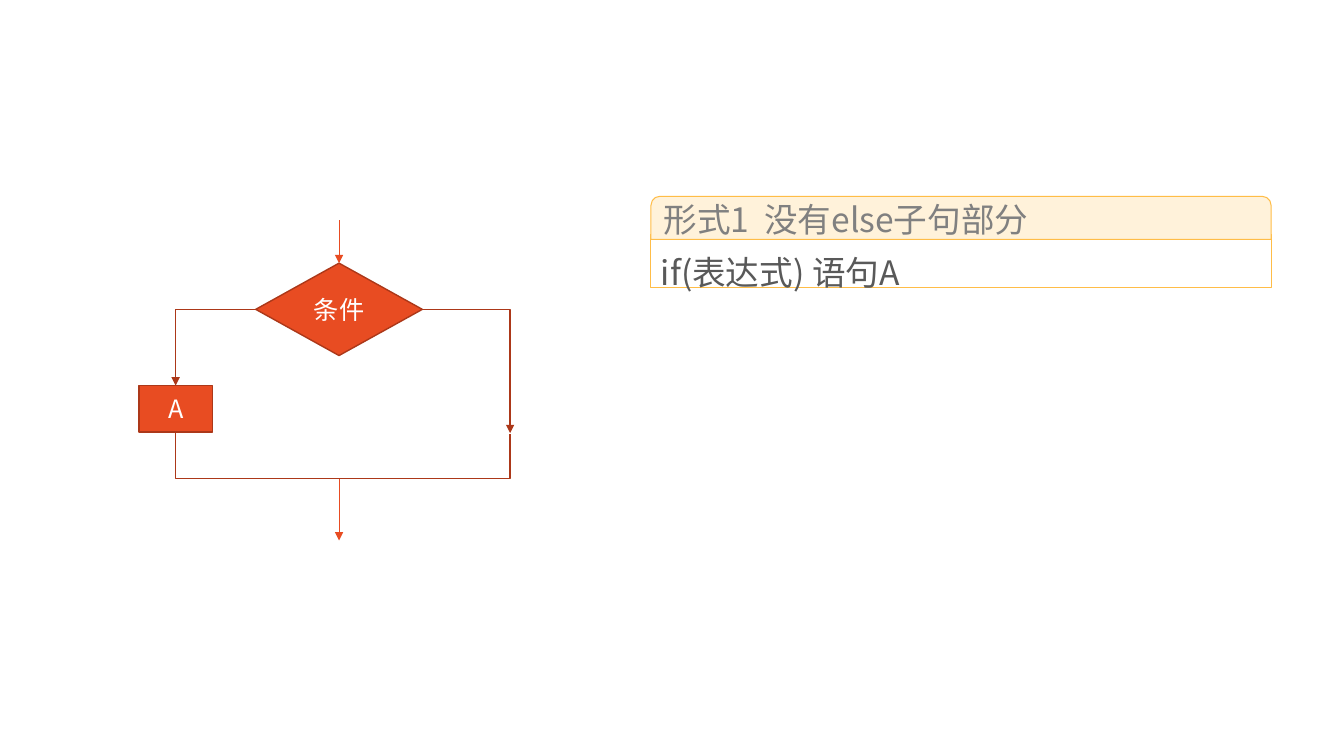
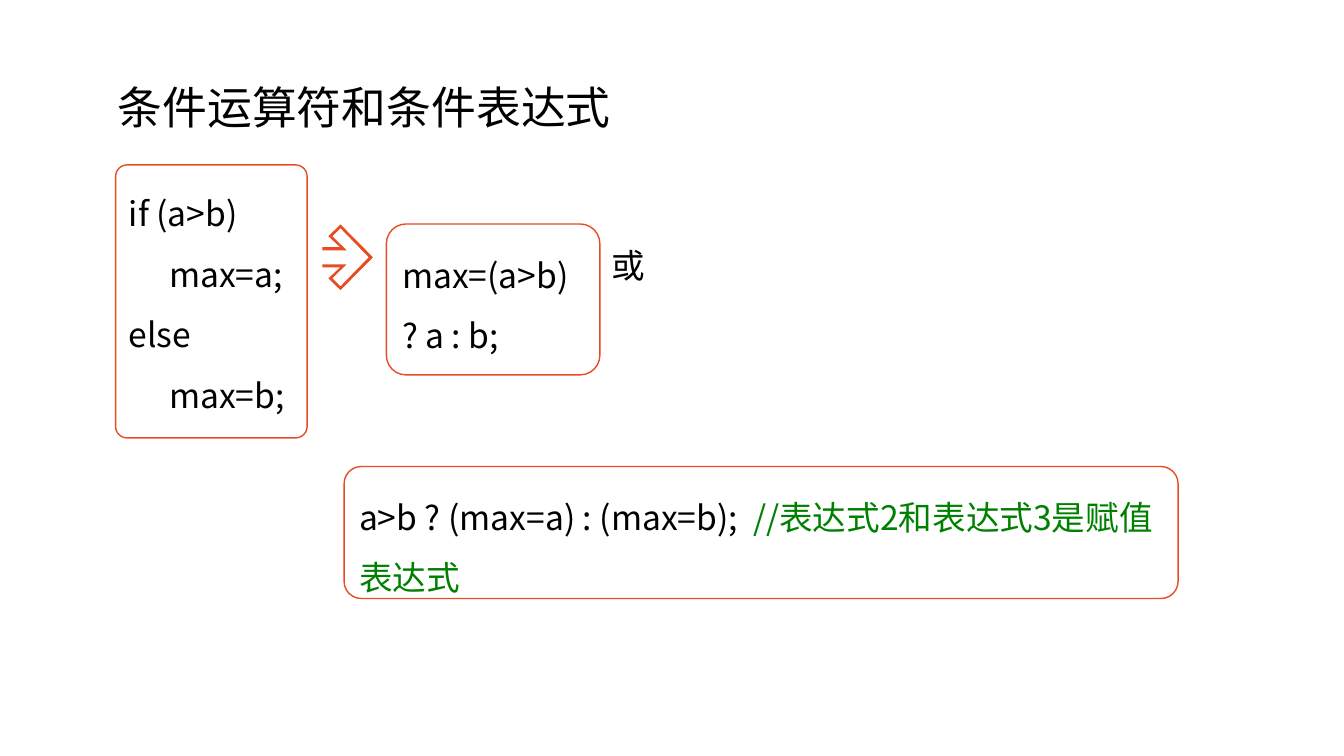
from dataclasses import dataclass

from lxml.etree import SubElement
from pptx import Presentation
from pptx.dml.color import RGBColor
from pptx.enum.shapes import MSO_CONNECTOR, MSO_SHAPE as Preset
from pptx.enum.text import MSO_ANCHOR as Anchor, PP_ALIGN as Align
from pptx.oxml.ns import qn
from pptx.util import Pt


@dataclass(frozen=True)
class Theme:
    font: str = "Noto Sans CJK SC"
    accent: str = "E84C22"
    accent_dark: str = "AC3819"
    amber: str = "FFBD47"
    cream: str = "FFF2DA"
    white: str = "FFFFFF"
    black: str = "000000"
    grey: str = "808080"
    dark_grey: str = "595959"
    comment: str = "008000"
    title_size: int = 32
    body_size: int = 24
    label_size: int = 18
    box_line: float = 1
    panel_line: float = 0.75
    arrow_line: float = 0.5


THEME = Theme()
BLANK_LAYOUT = 6


def rgb(code):
    return RGBColor.from_string(code)


def write_text(shape, paragraphs, size=THEME.body_size, color=THEME.black,
               align=Align.LEFT, anchor=Anchor.TOP, spacing=None,
               inset=None, tab=None, wrap=True):
    """Fill a shape with paragraphs, each a list of (text, colour or None) spans."""
    frame = shape.text_frame
    frame.word_wrap = wrap
    frame.vertical_anchor = anchor
    if inset is not None:
        frame.margin_left = frame.margin_right = Pt(inset)
        frame.margin_top = frame.margin_bottom = Pt(inset)
    for index, spans in enumerate(paragraphs):
        para = frame.add_paragraph() if index else frame.paragraphs[0]
        para.alignment = align
        if spacing:
            para.line_spacing = spacing
        if tab:
            stops = SubElement(para._p.get_or_add_pPr(), qn("a:tabLst"))
            SubElement(stops, qn("a:tab"), pos=str(Pt(tab)), algn="l")
        for text, span_color in spans:
            span = para.add_run()
            span.text = text
            span.font.size = Pt(size)
            span.font.name = THEME.font
            span.font.color.rgb = rgb(span_color or color)
            SubElement(span._r.get_or_add_rPr(), qn("a:ea"), typeface=THEME.font)


def plain(*lines):
    return [[(line, None)] for line in lines]


def add_box(slide, preset, left, top, width, height, fill, line,
            line_width=THEME.box_line, corners=()):
    box = slide.shapes.add_shape(preset, Pt(left), Pt(top), Pt(width), Pt(height))
    box.shadow.inherit = False
    for index, corner in enumerate(corners):
        box.adjustments[index] = corner
    box.fill.solid()
    box.fill.fore_color.rgb = rgb(fill)
    box.line.color.rgb = rgb(line)
    box.line.width = Pt(line_width)
    return box


def add_text_box(slide, left, top, width, height, text, **text_format):
    box = slide.shapes.add_textbox(Pt(left), Pt(top), Pt(width), Pt(height))
    write_text(box, plain(text), **text_format)


def add_node(slide, preset, left, top, width, height, label):
    node = add_box(slide, preset, left, top, width, height,
                   THEME.accent, THEME.accent_dark)
    write_text(node, plain(label), size=THEME.label_size, color=THEME.white,
               align=Align.CENTER, anchor=Anchor.MIDDLE)
    return node


def add_code_box(slide, left, top, width, height, corner, paragraphs, **text_format):
    box = add_box(slide, Preset.ROUNDED_RECTANGLE, left, top, width, height,
                  THEME.white, THEME.accent, corners=[corner])
    write_text(box, paragraphs, spacing=1.5, **text_format)


def add_arrowhead(line):
    SubElement(line._get_or_add_ln(), qn("a:tailEnd"), type="triangle")


def add_down_arrow(slide, x, top, bottom):
    arrow = slide.shapes.add_connector(
        MSO_CONNECTOR.STRAIGHT, Pt(x), Pt(top), Pt(x), Pt(bottom))
    arrow.line.color.rgb = rgb(THEME.accent)
    arrow.line.width = Pt(THEME.arrow_line)
    add_arrowhead(arrow.line)
    SubElement(arrow._element.spPr, qn("a:effectLst"))
    return arrow


def add_outline(slide, points, close):
    start, *rest = [(Pt(x), Pt(y)) for x, y in points]
    builder = slide.shapes.build_freeform(*start)
    builder.add_line_segments(rest, close=close)
    outline = builder.convert_to_shape()
    outline.shadow.inherit = False
    return outline


def add_path(slide, points, arrow=False):
    path = add_outline(slide, points, close=False)
    path.fill.background()
    path.line.color.rgb = rgb(THEME.accent_dark)
    path.line.width = Pt(THEME.box_line)
    if arrow:
        add_arrowhead(path.line)


def add_chevron_arrow(slide, left, middle):
    """Draw a hollow arrow, mirrored about its horizontal axis."""
    lower = [(36.2, 0), (13, 23.5), (4.4, 15), (12.8, 7.2), (0, 7.2),
             (0, 5), (17.4, 5), (7.2, 15), (13, 20.8), (33.2, 0)]
    upper = [(x, -y) for x, y in reversed(lower[1:-1])]
    points = [(left + x, middle + y) for x, y in lower + upper]
    arrow = add_outline(slide, points, close=True)
    arrow.fill.solid()
    arrow.fill.fore_color.rgb = rgb(THEME.accent)
    arrow.line.fill.background()


def add_flowchart(slide):
    center, left_x, right_x = 242.2, 125.5, 364.4
    decision_top, decision_width, decision_height = 188, 119, 66
    branch_y = decision_top + decision_height / 2
    step_top, step_width, step_height = 275.4, 52.6, 33.2
    branch_end, merge_y = 309.4, 342

    entry = add_down_arrow(slide, center, 157.4, decision_top)
    decision = add_node(slide, Preset.FLOWCHART_DECISION,
                        center - decision_width / 2, decision_top,
                        decision_width, decision_height, "条件")
    entry.end_connect(decision, 0)
    for side, x, end in ((-1, left_x, step_top), (1, right_x, branch_end)):
        corner_x = center + side * decision_width / 2
        add_path(slide, [(corner_x, branch_y), (x, branch_y), (x, end)], arrow=True)
    add_node(slide, Preset.RECTANGLE, left_x - step_width / 2, step_top,
             step_width, step_height, "A")
    add_path(slide, [(left_x, branch_end), (left_x, merge_y),
                     (right_x, merge_y), (right_x, branch_end + 0.8)])
    add_down_arrow(slide, center, merge_y, 386)


def add_syntax_panel(slide):
    left, width = 465, 443
    body = add_box(slide, Preset.RECTANGLE, left, 167.2, width, 38.2,
                   THEME.white, THEME.amber, THEME.panel_line)
    write_text(body, plain("if(表达式) 语句A"), color=THEME.dark_grey,
               align=Align.JUSTIFY, spacing=1.2, inset=7.2)
    header = add_box(slide, Preset.ROUND_2_SAME_RECTANGLE, left, 140.2, width, 30.8,
                     THEME.cream, THEME.amber, THEME.panel_line, corners=[0.21, 0])
    write_text(header, plain("形式1\t没有else子句部分"), color=THEME.grey,
               anchor=Anchor.MIDDLE)


def build_if_slide(slide):
    add_flowchart(slide)
    add_syntax_panel(slide)


def build_conditional_slide(slide):
    add_text_box(slide, 77, 26.6, 466.6, 104.4, "条件运算符和条件表达式",
                 size=THEME.title_size, anchor=Anchor.MIDDLE, spacing=0.9)
    add_code_box(slide, 82.6, 117.8, 136.8, 195, 0.06,
                 plain("if (a>b)", "\tmax=a;", "else", "\tmax=b;"), tab=28.8)
    add_chevron_arrow(slide, 230.2, 183.8)
    add_code_box(slide, 276, 160, 152.5, 107.8, 0.13, plain("max=(a>b) ? a : b;"))
    add_code_box(slide, 245.8, 333.2, 595.7, 94.3, 0.13,
                 [[("a>b ? (max=a) : (max=b);  ", None),
                   ("//表达式2和表达式3是赋值表达式", THEME.comment)]])
    add_text_box(slide, 429.8, 171.4, 38.6, 36, "或", wrap=False)


def main():
    deck = Presentation()
    deck.slide_width, deck.slide_height = Pt(960), Pt(540)
    for build in (build_if_slide, build_conditional_slide):
        build(deck.slides.add_slide(deck.slide_layouts[BLANK_LAYOUT]))
    deck.save("out.pptx")


if __name__ == "__main__":
    main()
